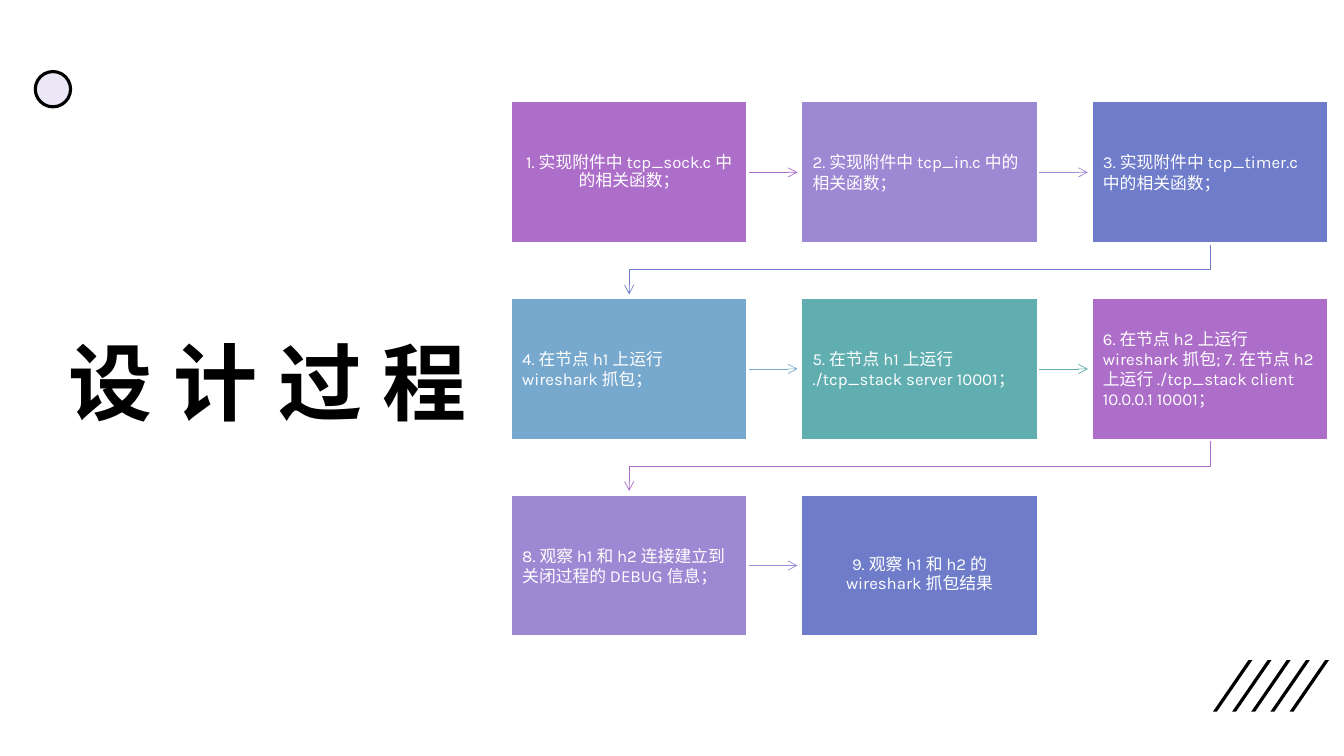
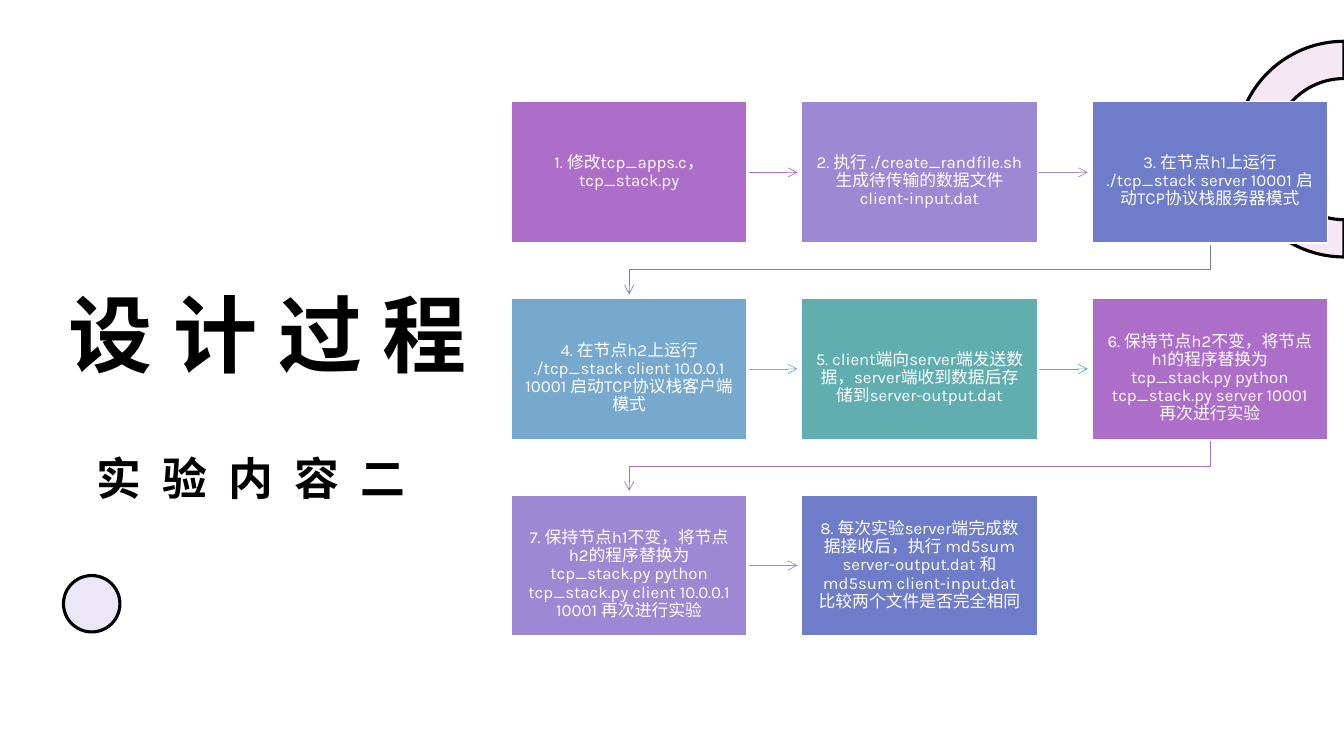
from math import cos, pi, sin

from lxml.etree import SubElement
from pptx import Presentation
from pptx.dml.color import RGBColor
from pptx.enum.shapes import MSO_CONNECTOR, MSO_SHAPE
from pptx.enum.text import MSO_ANCHOR, PP_ALIGN
from pptx.oxml.ns import qn
from pptx.util import Inches, Pt

# Colours and type
BLACK = RGBColor(0x00, 0x00, 0x00)
WHITE = RGBColor(0xFF, 0xFF, 0xFF)
ORCHID = RGBColor(0xAD, 0x6E, 0xCA)
LAVENDER = RGBColor(0x9D, 0x88, 0xD4)
INDIGO = RGBColor(0x6E, 0x7C, 0xCA)
SKY = RGBColor(0x77, 0xA8, 0xCE)
TEAL = RGBColor(0x60, 0xAE, 0xB0)
PALE_LAVENDER = RGBColor(0xEB, 0xE7, 0xF6)
PALE_PINK = RGBColor(0xF6, 0xE7, 0xF5)
STEP_COLOURS = [ORCHID, LAVENDER, INDIGO, SKY, TEAL]
FONT = "Karla"

# Content: each step is its text and its placement in the box
CENTRED, LOWERED, LEFT = "centred", "lowered", "left"
TITLE = "设计过程"
SUBTITLE = "实验内容二"
FIRST_STEPS = [
    ("1. 实现附件中 tcp_sock.c 中的相关函数；", CENTRED),
    ("2. 实现附件中 tcp_in.c 中的相关函数；", LEFT),
    ("3. 实现附件中 tcp_timer.c 中的相关函数；", LEFT),
    ("4. 在节点 h1 上运行 wireshark 抓包；", LEFT),
    ("5. 在节点 h1 上运行 ./tcp_stack server 10001；", LEFT),
    ("6. 在节点 h2 上运行 wireshark 抓包; 7. 在节点 h2 上运行 "
     "./tcp_stack client 10.0.0.1 10001；", LEFT),
    ("8. 观察 h1 和 h2 连接建立到关闭过程的 DEBUG 信息；", LEFT),
    ("9. 观察 h1 和 h2 的 wireshark 抓包结果", LOWERED),
]
SECOND_STEPS = [
    ("1. 修改tcp_apps.c，tcp_stack.py", CENTRED),
    ("2. 执⾏ ./create_randfile.sh ⽣成待传输的数据⽂件client-input.dat", LOWERED),
    ("3. 在节点h1上运⾏ ./tcp_stack server 10001 启动TCP协议栈服务器模式", LOWERED),
    ("4. 在节点h2上运⾏ ./tcp_stack client 10.0.0.1 10001 启动TCP协议栈客户端模式", LOWERED),
    ("5. client端向server端发送数据，server端收到数据后存储到server-output.dat", LOWERED),
    ("6. 保持节点h2不变，将节点h1的程序替换为tcp_stack.py python "
     "tcp_stack.py server 10001 再次进⾏实验", LOWERED),
    ("7. 保持节点h1不变，将节点h2的程序替换为tcp_stack.py python "
     "tcp_stack.py client 10.0.0.1 10001 再次进⾏实验", LOWERED),
    ("8. 每次实验server端完成数据接收后，执⾏ md5sum server-output.dat 和 "
     "md5sum client-input.dat ⽐较两个⽂件是否完全相同", CENTRED),
]

# Grid of steps, in inches
SLIDE_WIDTH, SLIDE_HEIGHT = 13.33, 7.5
COLUMNS = 3
GRID_LEFT, GRID_TOP = 5.07, 1.01
BOX_WIDTH, BOX_HEIGHT = 2.34, 1.4
COLUMN_STEP, ROW_STEP = 2.88, 1.95
ARROW_GAP = 0.02
LINE_HEIGHT = 0.18


def paint(shape, fill, line=None, width=0):
    shape.shadow.inherit = False
    shape.fill.solid()
    shape.fill.fore_color.rgb = fill
    if line is None:
        shape.line.fill.background()
    else:
        shape.line.color.rgb = line
        shape.line.width = Pt(width)


def add_preset(slide, preset, left, top, width, height):
    return slide.shapes.add_shape(
        preset, Inches(left), Inches(top), Inches(width), Inches(height))


def format_runs(paragraph, size, colour, bold=False, spacing=0):
    for run in paragraph.runs:
        run.font.name = FONT
        run.font.size = Pt(size)
        run.font.bold = bold
        run.font.color.rgb = colour
        if spacing:
            run._r.get_or_add_rPr().set("spc", str(spacing * 100))


def write_heading(shape, text, size):
    frame = shape.text_frame
    frame.text = text
    frame.word_wrap = True
    frame.vertical_anchor = MSO_ANCHOR.BOTTOM
    paragraph = frame.paragraphs[0]
    paragraph.alignment = PP_ALIGN.CENTER
    paragraph.line_spacing = 0.9
    format_runs(paragraph, size, BLACK, bold=True, spacing=15)


def add_title(slide, top):
    title = slide.shapes.title
    title.left, title.top = Inches(0.43), Inches(top)
    title.width, title.height = Inches(4.45), Inches(1.19)
    write_heading(title, TITLE, 60)


def add_circle(slide, left, top, size):
    circle = add_preset(slide, MSO_SHAPE.OVAL, left, top, size, size)
    paint(circle, PALE_LAVENDER, BLACK, 2.25)


def add_slashes(slide):
    for index in range(5):
        slash = add_preset(slide, MSO_SHAPE.PARALLELOGRAM,
                           12.03 + 0.19 * index, 6.55, 0.39, 0.51)
        slash.adjustments[0] = 0.9
        paint(slash, BLACK)


def add_half_ring(slide):
    centre_y, outer, inner, parts = 1.48, 1.07, 0.7, 48
    angles = [pi / 2 + pi * part / parts for part in range(parts + 1)]
    arcs = [(outer, angle) for angle in angles]
    arcs += [(inner, angle) for angle in reversed(angles)]
    points = [(Inches(SLIDE_WIDTH + radius * cos(angle)),
               Inches(centre_y + radius * sin(angle))) for radius, angle in arcs]
    builder = slide.shapes.build_freeform(*points[0])
    builder.add_line_segments(points[1:], close=True)
    paint(builder.convert_to_shape(), PALE_PINK, BLACK, 2.25)


def add_arrow(slide, kind, ends, colour):
    arrow = slide.shapes.add_connector(kind, *[Inches(value) for value in ends])
    arrow.line.color.rgb = colour
    arrow.line.width = Pt(0.5)
    SubElement(arrow.line._get_or_add_ln(), qn("a:tailEnd"), type="arrow")
    SubElement(arrow._element.spPr, qn("a:effectLst"))
    return arrow


def add_step(slide, left, top, colour, text, placement):
    box = add_preset(slide, MSO_SHAPE.RECTANGLE, left, top, BOX_WIDTH, BOX_HEIGHT)
    paint(box, colour, WHITE, 1)
    frame = box.text_frame
    frame.text = text
    frame.word_wrap = True
    frame.vertical_anchor = MSO_ANCHOR.MIDDLE
    frame.margin_left = frame.margin_right = Inches(0.11)
    frame.margin_bottom = Inches(0.12)
    frame.margin_top = Inches(0.12 + (LINE_HEIGHT if placement == LOWERED else 0))
    paragraph = frame.paragraphs[0]
    paragraph.alignment = PP_ALIGN.LEFT if placement == LEFT else PP_ALIGN.CENTER
    paragraph.line_spacing = 1.0 if placement == LEFT else 0.9
    format_runs(paragraph, 12, WHITE)


def add_flow(slide, steps):
    for index, (text, placement) in enumerate(steps):
        row, column = divmod(index, COLUMNS)
        left = GRID_LEFT + column * COLUMN_STEP
        top = GRID_TOP + row * ROW_STEP
        colour = STEP_COLOURS[index % len(STEP_COLOURS)]
        add_step(slide, left, top, colour, text, placement)
        if index == len(steps) - 1:
            continue
        if column < COLUMNS - 1:
            middle = top + BOX_HEIGHT / 2
            ends = (left + BOX_WIDTH + ARROW_GAP, middle,
                    left + COLUMN_STEP - 2 * ARROW_GAP, middle)
            add_arrow(slide, MSO_CONNECTOR.STRAIGHT, ends, colour)
        else:
            # An elbow turned by a quarter runs down, back to the first column, down
            span = (COLUMNS - 1) * COLUMN_STEP
            start = top + BOX_HEIGHT + ARROW_GAP
            drop = ROW_STEP - BOX_HEIGHT - 3 * ARROW_GAP
            centre_x = GRID_LEFT + (BOX_WIDTH + span) / 2
            centre_y = start + drop / 2
            ends = (centre_x - drop / 2, centre_y - span / 2,
                    centre_x + drop / 2, centre_y + span / 2)
            elbow = add_arrow(slide, MSO_CONNECTOR.ELBOW, ends, colour)
            elbow._element.spPr.find(qn("a:xfrm")).set("rot", str(90 * 60000))


def main():
    presentation = Presentation()
    presentation.slide_width = Inches(SLIDE_WIDTH)
    presentation.slide_height = Inches(SLIDE_HEIGHT)
    title_only = presentation.slide_layouts[5]

    # First experiment
    slide = presentation.slides.add_slide(title_only)
    add_slashes(slide)
    add_circle(slide, 0.35, 0.71, 0.35)
    add_title(slide, 3.15)
    add_flow(slide, FIRST_STEPS)

    # Second experiment
    slide = presentation.slides.add_slide(title_only)
    add_half_ring(slide)
    add_circle(slide, 0.63, 5.71, 0.56)
    add_title(slide, 2.68)
    add_flow(slide, SECOND_STEPS)
    subtitle = slide.shapes.add_textbox(
        Inches(0.43), Inches(4.37), Inches(4.12), Inches(0.69))
    write_heading(subtitle, SUBTITLE, 32)

    presentation.save("out.pptx")


if __name__ == "__main__":
    main()
